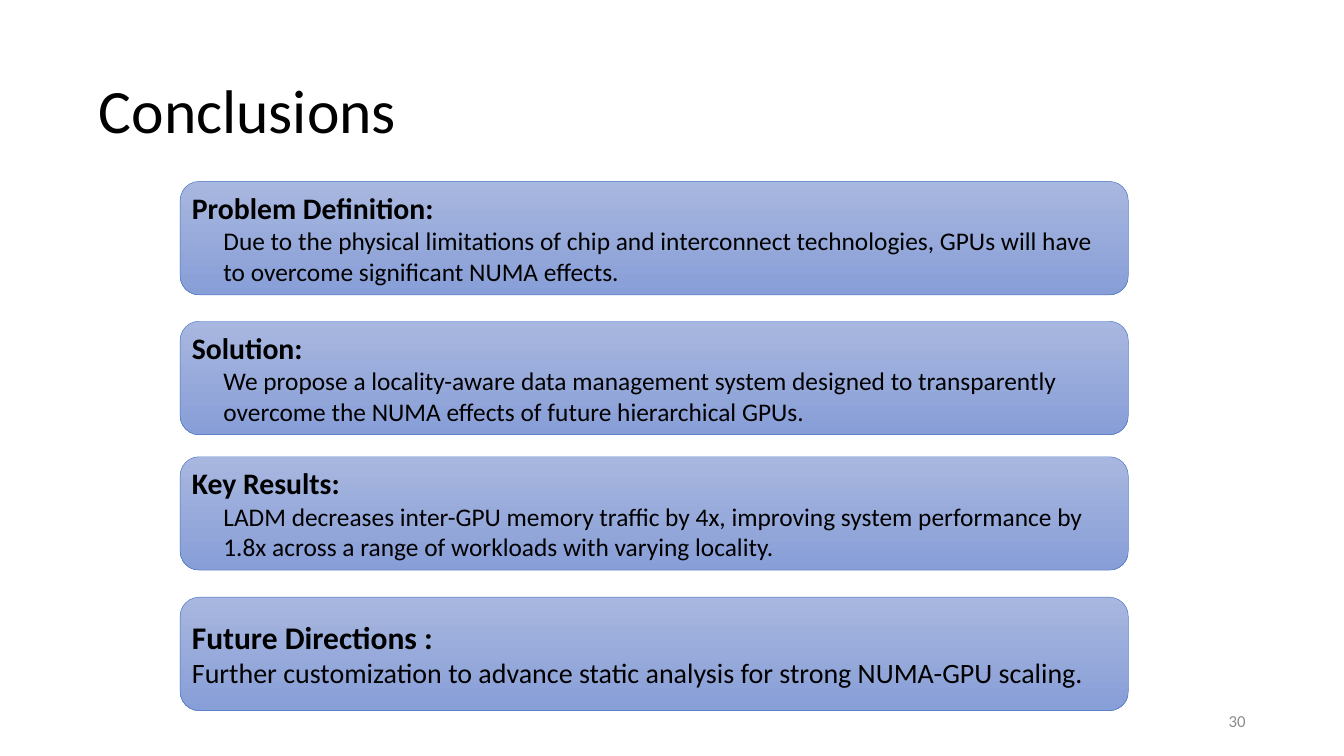
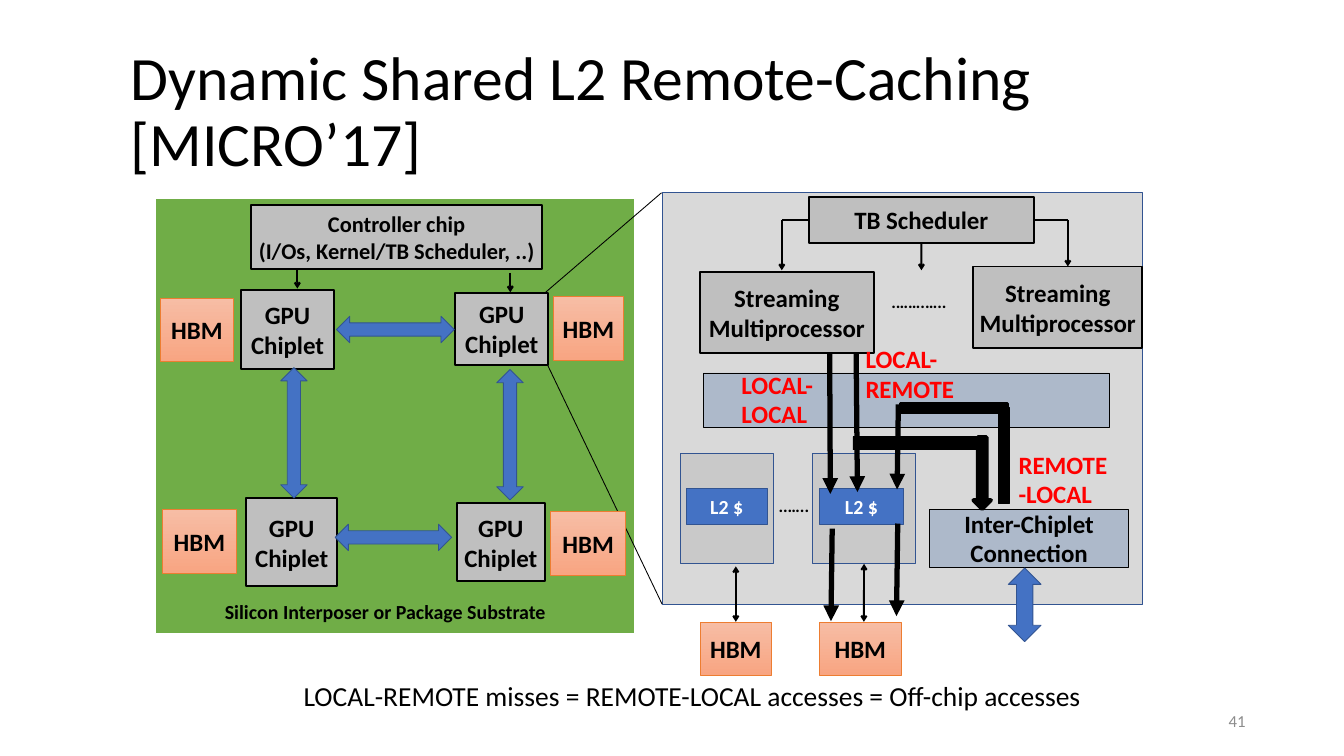
from lxml import etree
from pptx import Presentation
from pptx.dml.color import RGBColor
from pptx.enum.shapes import MSO_CONNECTOR, MSO_SHAPE
from pptx.enum.text import MSO_ANCHOR, PP_ALIGN
from pptx.oxml.ns import qn
from pptx.util import Emu, Inches, Pt

LEFT, CENTER, RIGHT = PP_ALIGN.LEFT, PP_ALIGN.CENTER, PP_ALIGN.RIGHT
TOP, MIDDLE = MSO_ANCHOR.TOP, MSO_ANCHOR.MIDDLE
RECT, ROUNDED = MSO_SHAPE.RECTANGLE, MSO_SHAPE.ROUNDED_RECTANGLE
TWO_WAY, DOWN = MSO_SHAPE.LEFT_RIGHT_ARROW, MSO_SHAPE.DOWN_ARROW
STRAIGHT = MSO_CONNECTOR.STRAIGHT

# Grid: 64 columns by 36 rows of square cells, three cells to the inch
CELL = Inches(1) // 3
COLUMNS, ROWS = 64, 36

FONT = "Calibri"
BLACK, WHITE, RED, GREY_TEXT = "000000", "FFFFFF", "FF0000", "8C8C8C"
BLUE, NAVY, GREEN, ORANGE = "4472C4", "325491", "70AD47", "ED7D31"
CHIP_GREY, PANEL_GREY, BANK_GREY, STEEL = "BFBFBF", "D9D9D9", "C9C9C9", "ADB9CA"
BLUE_FADE, PEACH_FADE = ("A8B7DF", "889ED7"), ("F7BDA5", "F8A582")
color = RGBColor.from_string


def box(slide, at, lines=(), size=28.5, hue=BLACK, bold=True, align=CENTER,
        anchor=MIDDLE, fill=None, line=None, weight=1, kind=RECT, wrap=True):
    """Add a shape, or a text box when there is no fill; at is in grid cells."""
    place = [Emu(round(n * CELL)) for n in at]
    if fill is None:
        shape = slide.shapes.add_textbox(*place)
    else:
        shape = slide.shapes.add_shape(kind, *place)
        shape.shadow.inherit = False
        if isinstance(fill, tuple):
            shape.fill.gradient()
            shape.fill.gradient_angle = 270
            for stop, tone in zip(shape.fill.gradient_stops, fill):
                stop.color.rgb = color(tone)
        else:
            shape.fill.solid()
            shape.fill.fore_color.rgb = color(fill)
        shape.line.color.rgb = color(line)
        shape.line.width = Pt(weight)
    frame = shape.text_frame
    frame.word_wrap = wrap
    frame.vertical_anchor = anchor
    frame.margin_left = frame.margin_right = Inches(0.09 if align == CENTER else 0.1)
    for i, text in enumerate(lines):
        paragraph = frame.paragraphs[0] if i == 0 else frame.add_paragraph()
        paragraph.alignment = align
        run = paragraph.add_run()
        run.text = text
        run.font.name, run.font.size, run.font.bold = FONT, Pt(size), bold
        run.font.color.rgb = color(hue)
    return shape


def wire(slide, start, end, weight=2.25, head=None, tail=None):
    """Add a straight black connector between two grid points."""
    points = [Emu(round(n * CELL)) for n in (*start, *end)]
    connector = slide.shapes.add_connector(STRAIGHT, *points)
    connector.line.color.rgb = color(BLACK)
    connector.line.width = Pt(weight)
    outline = connector.line._get_or_add_ln()
    for tag, tip in (("a:headEnd", head), ("a:tailEnd", tail)):
        if tip:
            etree.SubElement(outline, qn(tag)).set("type", tip)
    etree.SubElement(connector._element.spPr, qn("a:effectLst"))
    return connector


deck = Presentation()
deck.slide_width, deck.slide_height = Emu(COLUMNS * CELL), Emu(ROWS * CELL)

# Title and page number of both slides
slides = []
for title, left, width, page in (
        ("Conclusions", 4.41, 55.2, "30"),
        ("Dynamic Shared L2 Remote-Caching [MICRO’17]", 5.94, 52.32, "41")):
    slide = deck.slides.add_slide(deck.slide_layouts[6])
    heading = box(slide, (left, 1.92, width, 6.96), [title], 70.4, bold=False, align=LEFT)
    heading.text_frame.paragraphs[0].line_spacing = 0.9
    box(slide, (45.21, 33.36, 14.4, 1.92), [page], 19.2, GREY_TEXT, False, RIGHT)
    slides.append(slide)
conclusions, caching = slides

# Conclusions: four cards
cards = [
    (8.64, 34, 29, True, "Problem Definition:",
     "Due to the physical limitations of chip and interconnect technologies, "
     "GPUs will have to overcome significant NUMA effects."),
    (15.3, 34, 29, True, "Solution:",
     "We propose a locality-aware data management system designed to transparently "
     "overcome the NUMA effects of future hierarchical GPUs."),
    (21.75, 34, 29, True, "Key Results:",
     "LADM decreases inter-GPU memory traffic by 4x, improving system performance "
     "by 1.8x across a range of workloads with varying locality."),
    (28.44, 36, 32, False, "Future Directions :",
     "Further customization to advance static analysis for strong NUMA-GPU scaling."),
]
for top, head_size, body_size, indented, head, body in cards:
    card = box(conclusions, (8.58, top, 45.15, 5.4), [head, body], head_size, align=LEFT,
               fill=BLUE_FADE, line=BLUE, weight=0.5, kind=ROUNDED)
    detail = card.text_frame.paragraphs[1]
    detail.runs[0].font.size, detail.runs[0].font.bold = Pt(body_size), False
    if indented:
        detail.level = 1
        margins = detail._p.get_or_add_pPr()
        margins.set("marL", str(Inches(0.5)))
        margins.set("indent", "0")

# Package substrate and the enlarged chiplet with its zoom lines
box(caching, (7.41, 9.45, 22.83, 20.73), fill=GREEN, line=WHITE, weight=1.5)
box(caching, (31.56, 9.18, 22.83, 19.59), fill=PANEL_GREY, line=NAVY)
wire(caching, (25.98, 13.92), (31.5, 9.18), 1)
wire(caching, (26.07, 17.37), (31.53, 28.77), 1)
box(caching, (10.41, 28.38, 17.16, 1.44), ["Silicon Interposer or Package Substrate"],
    22.8, align=LEFT, anchor=TOP)

# Controller, chiplets, multiprocessors and scheduler
box(caching, (11.94, 9.75, 13.89, 3.06),
    ["Controller chip", "(I/Os, Kernel/TB Scheduler, ..)"], 25.6,
    fill=CHIP_GREY, line=BLACK, weight=2.25)
chiplet, multiprocessor = ["GPU", "Chiplet"], ["Streaming", "Multiprocessor"]
for at, label in (
        ((11.49, 13.83, 4.41, 3.75), chiplet), ((21.69, 13.95, 4.41, 3.42), chiplet),
        ((11.73, 23.73, 4.32, 4.17), chiplet), ((21.75, 23.94, 4.2, 3.75), chiplet),
        ((33.33, 12.93, 8.28, 3.87), multiprocessor),
        ((46.35, 12.69, 8.04, 3.87), multiprocessor)):
    box(caching, at, label, fill=CHIP_GREY, line=BLACK, weight=2.25)
scheduler = box(caching, (38.52, 9.36, 10.71, 2.22), ["TB Scheduler"],
                fill=CHIP_GREY, line=BLACK, weight=2.25)

# Memory stacks: four on the substrate, two below the enlarged chiplet
stacks = [box(caching, at, ["HBM"], fill=PEACH_FADE, line=ORANGE, weight=0.5) for at in (
    (7.65, 14.19, 3.45, 3.03), (26.34, 14.13, 3.36, 3.03),
    (7.74, 24.27, 3.51, 3.03), (26.22, 24.36, 3.57, 3.03),
    (33.33, 29.61, 3.42, 2.55), (39.03, 29.61, 3.87, 2.55))]

# Crossbar, cache banks and inter-chiplet connection
box(caching, (33.48, 17.76, 19.35, 2.58), fill=STEEL, line=BLACK)
banks = [box(caching, (left, 21.6, width, 5.25), fill=BANK_GREY, line=NAVY)
         for left, width in ((32.4, 4.44), (38.7, 4.89))]
for left, top, dots in ((42.15, 13.74, ".…….….."), (36.78, 23.46, "..…..")):
    box(caching, (left, top, 3.39, 1.29), [dots], 19.7, align=LEFT, anchor=TOP)
for left, width in ((32.67, 3.87), (39.03, 3.99)):
    box(caching, (left, 23.25, width, 1.71), ["L2 $"], 22.8, WHITE, fill=BLUE, line=NAVY)
box(caching, (44.28, 24.24, 9.45, 2.76), ["Inter-Chiplet Connection"], fill=STEEL, line=BLACK)

# Dispatch arrows from the controller and the scheduler
for x, top, bottom in ((14.16, 12.81, 13.74), (24.3, 12.99, 13.92),
                       (37.23, 10.47, 12.87), (50.85, 10.47, 12.69)):
    wire(caching, (x, top), (x, bottom), tail="arrow")
for side, x in ((1, 37.23), (3, 50.85)):
    wire(caching, (x, 10.47), (x, 10.47)).begin_connect(scheduler, side)
wire(caching, (43.88, 11.58), (43.88, 12.87), tail="arrow").begin_connect(scheduler, 2)

# Links between cache banks and memory
wire(caching, (35.04, 26.97), (35.04, 29.61), head="arrow", tail="arrow").end_connect(stacks[4], 0)
wire(caching, (41.14, 26.85), (41.14, 29.61), head="arrow", tail="arrow").begin_connect(banks[1], 2)

# Two-way links between chiplets and out of the package
for at, turn in (((16.02, 15.06, 5.61, 1.26), 0), ((15.96, 24.96, 5.55, 1.26), 0),
                 ((21.18, 20.07, 6.21, 1.26), 270), ((10.89, 19.98, 6.21, 1.26), 270),
                 ((47.04, 28.02, 3.51, 1.56), 270)):
    box(caching, at, fill=BLUE, line=NAVY, kind=TWO_WAY).rotation = turn

# Remote access paths
for at, weight, kind in (((46.35, 20.82, 0.84, 3.42), 4.5, DOWN),
                         ((42.87, 19.23, 5.1, 0.42), 3, RECT),
                         ((40.62, 20.79, 6.3, 0.63), 1, RECT),
                         ((47.55, 19.38, 0.51, 4.59), 1, RECT)):
    box(caching, at, fill=BLACK, line=BLACK, weight=weight, kind=kind)
for start, end in (((39.51, 16.8), (39.54, 23.52)), ((40.77, 16.86), (40.83, 23.43)),
                   ((42.78, 19.26), (42.72, 23.31)), ((39.63, 25.17), (39.57, 29.58)),
                   ((42.75, 24.93), (42.69, 29.34))):
    wire(caching, start, end, 6, tail="triangle")

# Access labels and closing note
for at, label in (((35.01, 17.43, 6.81, 3.18), ["LOCAL-", "LOCAL"]),
                  ((40.92, 16.23, 6.81, 3.18), ["LOCAL-", "REMOTE"]),
                  ((48.21, 21.24, 7.86, 3.18), ["REMOTE", "-LOCAL"])):
    box(caching, at, label, hue=RED, align=LEFT, anchor=TOP)
box(caching, (14.16, 32.19, 37.98, 1.89),
    ["LOCAL-REMOTE misses = REMOTE-LOCAL accesses = Off-chip accesses"],
    31.4, bold=False, align=LEFT, anchor=TOP, wrap=False)

deck.save("out.pptx")
